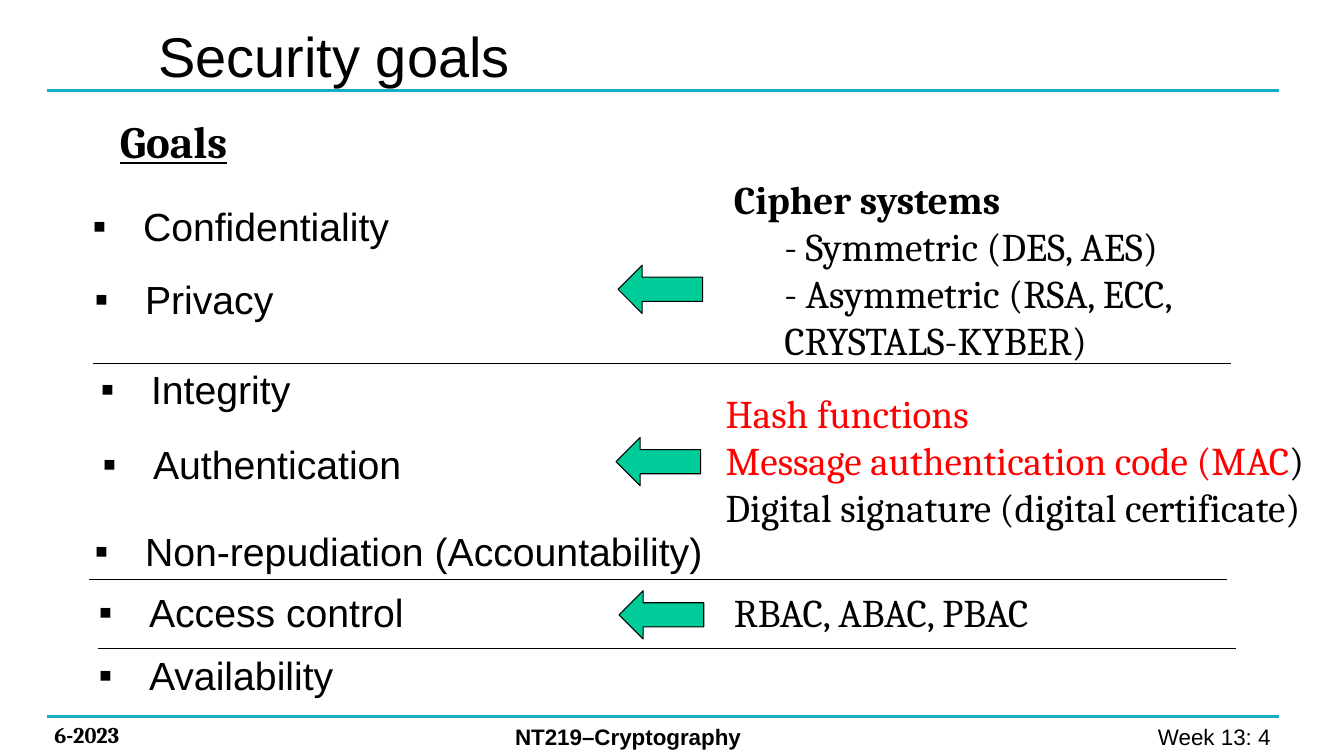
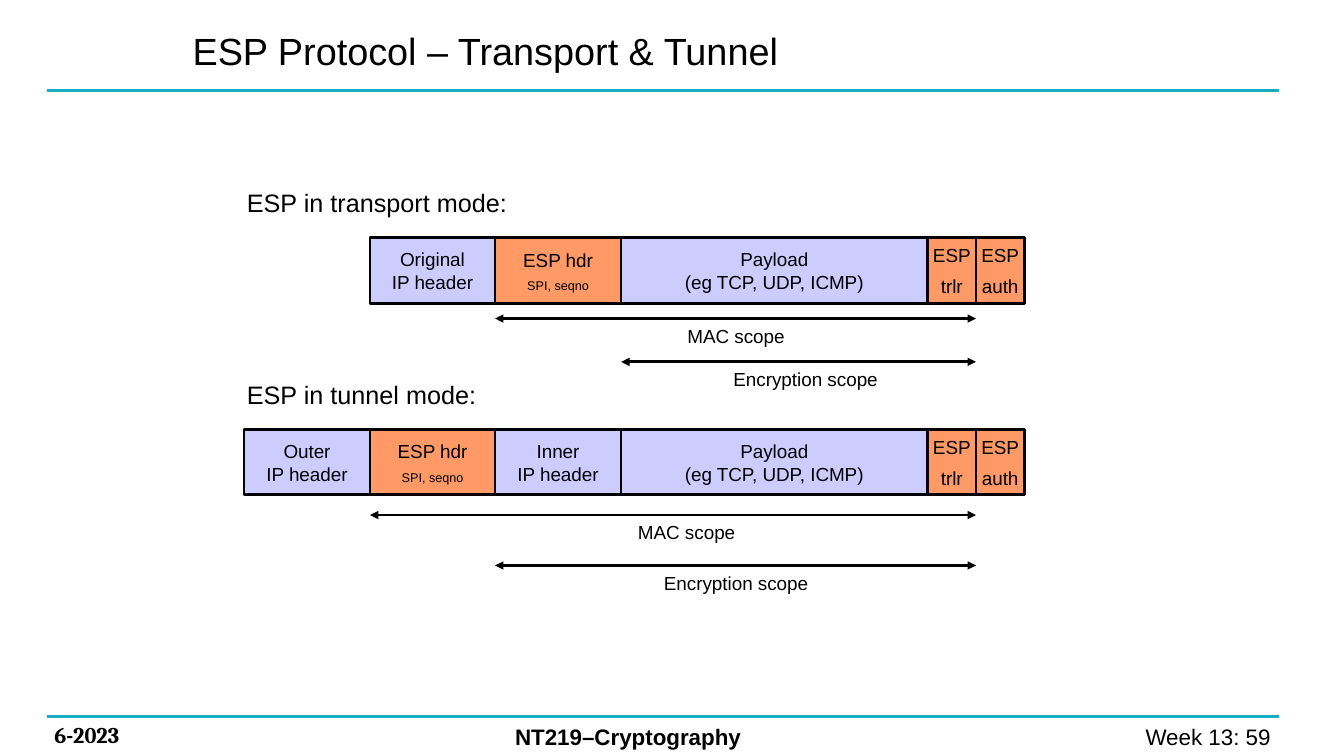
from dataclasses import dataclass

from pptx import Presentation
from pptx.dml.color import RGBColor
from pptx.enum.shapes import MSO_CONNECTOR, MSO_SHAPE
from pptx.enum.text import MSO_ANCHOR, PP_ALIGN
from pptx.oxml.ns import qn
from pptx.util import Pt
from lxml import etree

PX = 9144  # 100 px to the inch
RECT, LEFT_ARROW = MSO_SHAPE.RECTANGLE, MSO_SHAPE.LEFT_ARROW
STRAIGHT = MSO_CONNECTOR.STRAIGHT
LEFT, CENTER, RIGHT = PP_ALIGN.LEFT, PP_ALIGN.CENTER, PP_ALIGN.RIGHT
TOP, MIDDLE = MSO_ANCHOR.TOP, MSO_ANCHOR.MIDDLE


@dataclass(frozen=True)
class Theme:
    sans: str = "Arial"
    serif: str = "Cambria"
    ink: str = "000000"
    rule: str = "16AFC2"
    alert: str = "FF0000"
    arrow: str = "00CC99"
    packet: str = "CCCCFF"
    esp: str = "FF9966"
    title: float = 40
    small_title: float = 27
    heading: float = 32
    body: float = 28
    caption: float = 18
    footer: float = 16
    label: float = 13.5
    note: float = 9
    rule_width: float = 2.25
    thin: float = 0.75
    thick: float = 2


T = Theme()


def px(*values):
    return [v * PX for v in values]


def rgb(code):
    return RGBColor.from_string(code)


class Deck:
    def __init__(self):
        self.prs = Presentation()
        self.prs.slide_width, self.prs.slide_height = px(1333, 750)
        self.shapes = None

    def slide(self, title, at, size, number):
        """Start a slide with its title, rules and footer."""
        s = self.prs.slides.add_slide(self.prs.slide_layouts[5])
        self.shapes = s.shapes
        sp = s.shapes.title
        sp.left, sp.top, sp.width, sp.height = px(*at)
        self.set_text(sp.text_frame, [title], size, anchor=MIDDLE)
        for y in (90, 711):
            self.line(47, 1269, y, T.rule, T.rule_width)
        self.text((44, 711, 178, 37), ["6-2023"], T.footer, T.serif, bold=True)
        self.text((501, 712, 409, 37), ["NT219–Cryptography"], T.footer, bold=True)
        self.text((982, 712, 288, 37), [f"Week 13: {number}"], T.footer, align=RIGHT)

    def set_text(self, tf, lines, size, font=T.sans, bold=False, align=LEFT, anchor=TOP):
        tf.word_wrap = True
        tf.vertical_anchor = anchor
        tf.text = "\n".join(lines)
        for p in tf.paragraphs:
            p.alignment = align
            for r in p.runs:
                r.font.name, r.font.size, r.font.bold = font, Pt(size), bold
                r.font.color.rgb = rgb(T.ink)

    def text(self, at, lines, size, font=T.sans, **style):
        sp = self.shapes.add_textbox(*px(*at))
        self.set_text(sp.text_frame, lines, size, font, **style)
        return sp.text_frame

    def indent(self, p, hanging=False):
        """Indent a paragraph half an inch, with a hanging bullet if asked."""
        pPr = p._p.get_or_add_pPr()
        pPr.set("marL", str(50 * PX))
        pPr.set("indent", str(-50 * PX if hanging else 0))
        if hanging:
            etree.SubElement(pPr, qn("a:buFont"), typeface=T.sans)
            etree.SubElement(pPr, qn("a:buChar"), char="▪")

    def bullet(self, x, y, width, words):
        tf = self.text((x, y, width, 57), [words], T.body)
        self.indent(tf.paragraphs[0], hanging=True)

    def line(self, x1, x2, y, color=T.ink, width=T.thin, arrows=False):
        ln = self.shapes.add_connector(STRAIGHT, *px(x1, y, x2, y))
        ln.line.color.rgb = rgb(color)
        ln.line.width = Pt(width)
        spPr = ln._element.spPr
        if arrows:
            for end in ("a:headEnd", "a:tailEnd"):
                etree.SubElement(spPr.find(qn("a:ln")), qn(end), type="triangle")
        etree.SubElement(spPr, qn("a:effectLst"))

    def shape(self, kind, at, fill, width):
        sp = self.shapes.add_shape(kind, *px(*at))
        sp.shadow.inherit = False
        sp.fill.solid()
        sp.fill.fore_color.rgb = rgb(fill)
        sp.line.color.rgb = rgb(T.ink)
        sp.line.width = Pt(width)
        return sp

    def cell(self, x1, x2, y, fill, lines, gap=0, last_size=T.label):
        """Draw one field of a packet."""
        tf = self.shape(RECT, (x1, y, x2 - x1, 65), fill, T.thick).text_frame
        tf.margin_left = tf.margin_right = tf.margin_top = tf.margin_bottom = 0
        self.set_text(tf, lines, T.label, align=CENTER, anchor=MIDDLE)
        last = tf.paragraphs[-1]
        last.space_before = Pt(gap)
        last.runs[0].font.size = Pt(last_size)

    def scope(self, x1, x2, y, words, label_x):
        self.line(x1, x2, y, width=T.thick, arrows=True)
        self.text((label_x, y + 1, 422, 33), [words], T.label, align=CENTER)

    def packet(self, y, caption, headers, scopes):
        """Draw a captioned packet; headers end where the payload starts."""
        slide_shapes = self.shapes
        self.shapes = slide_shapes.add_group_shape().shapes
        self.text((235, y - 55, 360, 40), [caption], T.caption)
        edges = EDGES[-len(headers) - 1:]
        for x1, x2, name in zip(edges, edges[1:], headers):
            if name == "ESP hdr":
                self.cell(x1, x2, y, T.esp, [name, "SPI, seqno"], 5, T.note)
            else:
                self.cell(x1, x2, y, T.packet, [name, "IP header"])
        self.cell(PAYLOAD, TRAILER, y, T.packet, ["Payload", "(eg TCP, UDP, ICMP)"])
        self.cell(TRAILER, AUTH, y, T.esp, ["ESP", "trlr"], 6)
        self.cell(AUTH, AUTH + 48, y, T.esp, ["ESP", "auth"], 6)
        for x1, line_y, words, label_x in scopes:
            self.scope(x1, AUTH, line_y, words, label_x)
        self.shapes = slide_shapes


EDGES = OUTER, FIRST, SECOND, PAYLOAD = 242, 367, 491, 616
TRAILER, AUTH = 920, 968


def goals_slide(deck):
    deck.slide("Security goals", (147, 11, 728, 87), T.title, 4)
    for goal in ((82, 196, 318, "Confidentiality"),
                 (84, 268, 200, "Privacy"),
                 (90, 358, 211, "Integrity"),
                 (92, 432, 320, "Authentication"),
                 (84, 518, 640, "Non-repudiation (Accountability)"),
                 (88, 579, 326, "Access control"),
                 (88, 641, 256, "Availability")):
        deck.bullet(*goal)
    tf = deck.text((109, 108, 140, 64), ["Goals"], T.heading, T.serif, bold=True)
    tf.paragraphs[0].runs[0].font.underline = True

    tf = deck.text((718, 169, 595, 199),
                   ["Cipher systems", "- Symmetric (DES, AES)",
                    "- Asymmetric (RSA, ECC, CRYSTALS-KYBER)"], T.body, T.serif)
    tf.paragraphs[0].runs[0].font.bold = True
    for p in tf.paragraphs[1:]:
        deck.indent(p)

    tf = deck.text((710, 381, 633, 151),
                   ["Hash functions", "Message authentication code (MAC",
                    "Digital signature (digital certificate)"], T.body, T.serif)
    for p in tf.paragraphs[:2]:
        p.runs[0].font.color.rgb = rgb(T.alert)
    r = tf.paragraphs[1].add_run()
    r.text = ")"
    r.font.name, r.font.size = T.serif, Pt(T.body)
    r.font.color.rgb = rgb(T.ink)

    deck.text((718, 579, 376, 57), ["RBAC, ABAC, PBAC"], T.body, T.serif)
    for x, y in ((613, 263), (611, 434), (614, 586)):
        deck.shape(LEFT_ARROW, (x, y, 84, 48), T.arrow, T.thin)
    for x, y in ((92, 361), (88, 575), (97, 643)):
        deck.line(x, x + 1129, y)


def esp_slide(deck):
    deck.slide("ESP Protocol – Transport & Tunnel", (181, 14, 700, 71),
               T.small_title, 59)
    deck.packet(236, "ESP in transport mode:", ["Original", "ESP hdr"],
                [(SECOND, 316, "MAC scope", 519),
                 (PAYLOAD, 359, "Encryption scope", 588)])
    deck.packet(426, "ESP in tunnel mode:", ["Outer", "ESP hdr", "Inner"],
                [(FIRST, 511, "MAC scope", 470),
                 (SECOND, 561, "Encryption scope", 519)])


def main():
    deck = Deck()
    goals_slide(deck)
    esp_slide(deck)
    deck.prs.save("out.pptx")


if __name__ == "__main__":
    main()
